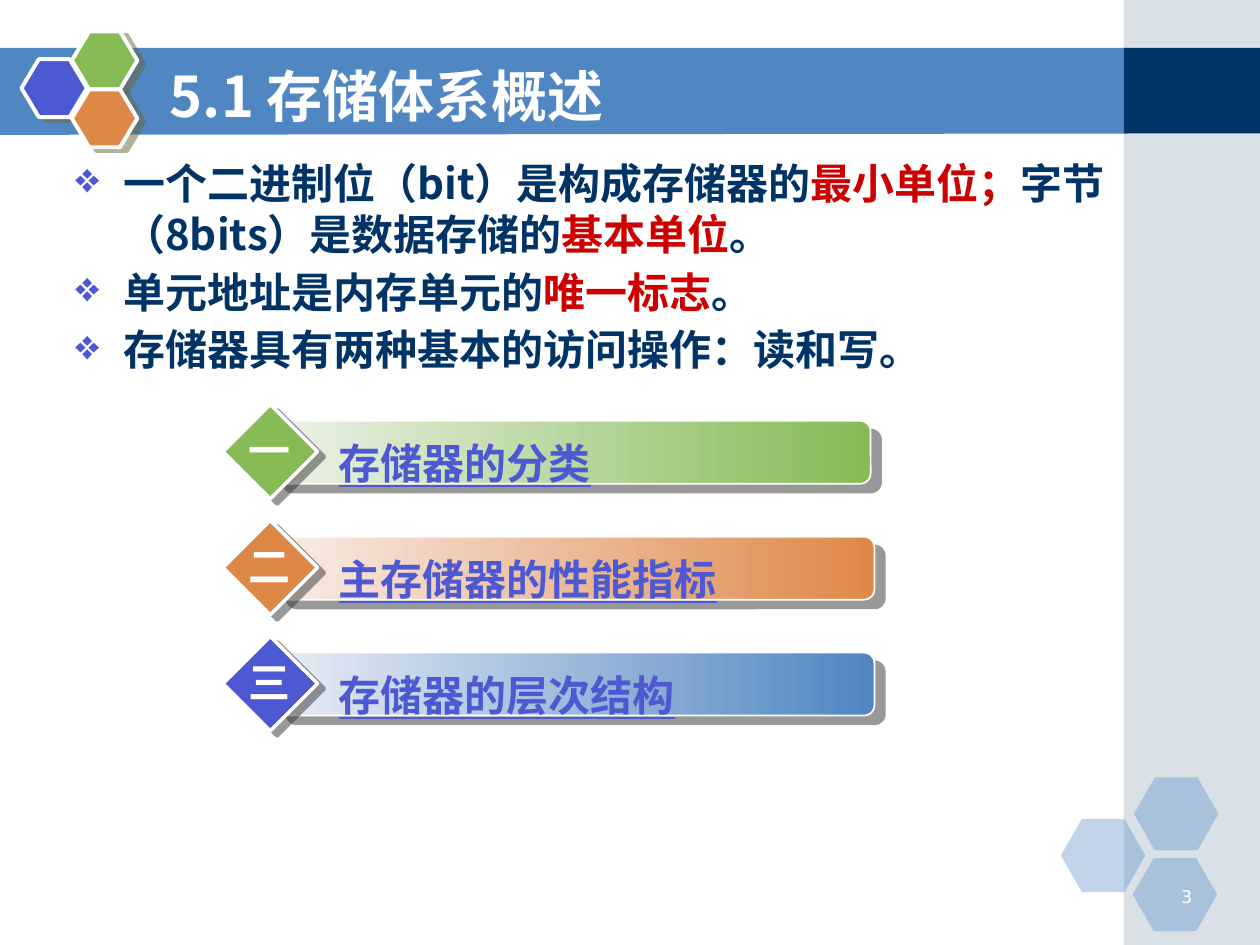
from lxml.etree import SubElement
from pptx import Presentation
from pptx.dml.color import RGBColor
from pptx.enum.shapes import MSO_SHAPE as Shape
from pptx.enum.text import MSO_ANCHOR as Anchor, PP_ALIGN as Align
from pptx.oxml.ns import qn
from pptx.util import Inches, Pt

NAVY = RGBColor(0x00, 0x33, 0x66)
BLUE = RGBColor(0x50, 0x86, 0xC2)
GREY = RGBColor(0xA0, 0xB5, 0xC4)
INDIGO = RGBColor(0x4C, 0x59, 0xD2)
GREEN = RGBColor(0x85, 0xBA, 0x54)
ORANGE = RGBColor(0xDE, 0x88, 0x48)
RED = RGBColor(0xCC, 0x00, 0x00)
WHITE = RGBColor(0xFF, 0xFF, 0xFF)
PALE_GREEN = RGBColor(0xEC, 0xF2, 0xE8)
PALE_ORANGE = RGBColor(0xF8, 0xEC, 0xE7)
PALE_BLUE = RGBColor(0xE8, 0xEC, 0xF4)
OLIVE = RGBColor(0x66, 0x66, 0x33)
CHARCOAL = RGBColor(0x33, 0x33, 0x33)

BULLETS = [
    [("一个二进制位（bit）是构成存储器的", NAVY), ("最小单位；", RED),
     ("字节（8bits）是数据存储的", NAVY), ("基本单位", RED), ("。", NAVY)],
    [("单元地址是内存单元的", NAVY), ("唯一标志", RED), ("。", NAVY)],
    [("存储器具有两种基本的访问操作：读和写。", NAVY)],
]
TOPICS = [
    ("一", "存储器的分类", 2.16, PALE_GREEN, GREEN, GREEN),
    ("二", "主存储器的性能指标", 2.19, PALE_ORANGE, ORANGE, ORANGE),
    ("三", "存储器的层次结构", 2.19, PALE_BLUE, BLUE, INDIGO),
]


class SlideBuilder:
    """Draws the elements of one slide in a shared style."""

    font = "Noto Sans CJK SC"

    def __init__(self, page):
        self.page = page

    def shape(self, kind, left, top, width, height, color, alpha=None, adjust=None, outline=None):
        shape = self.page.shapes.add_shape(
            kind, Inches(left), Inches(top), Inches(width), Inches(height))
        shape.shadow.inherit = False
        if adjust is not None:
            shape.adjustments[0] = adjust
        shape.fill.solid()
        shape.fill.fore_color.rgb = color
        if alpha is not None:
            tint = shape.fill._xPr.find(".//" + qn("a:srgbClr"))
            SubElement(tint, qn("a:alpha"), val=str(alpha * 1000))
        if outline is None:
            shape.line.fill.background()
        else:
            shape.line.color.rgb = WHITE
            shape.line.width = Pt(outline)
        return shape

    def gradient(self, shape, start, end):
        shape.fill.gradient()
        shape.fill.gradient_angle = 0
        for stop, color, position in zip(shape.fill.gradient_stops, (start, end), (0, 1)):
            stop.color.rgb = color
            stop.position = position

    def shadow(self, shape, color, distance, angle):
        effects = shape._element.spPr.find(qn("a:effectLst"))
        outer = SubElement(effects, qn("a:outerShdw"), blurRad="0", dist=str(Pt(distance)),
                           dir=str(angle * 60000), algn="ctr", rotWithShape="0")
        tint = SubElement(outer, qn("a:srgbClr"), val=str(color))
        SubElement(tint, qn("a:alpha"), val="50000")

    def banner(self, points, color):
        start, *others = [(Inches(x), Inches(y)) for x, y in points]
        builder = self.page.shapes.build_freeform(*start)
        builder.add_line_segments(others, close=True)
        shape = builder.convert_to_shape()
        shape.shadow.inherit = False
        shape.fill.solid()
        shape.fill.fore_color.rgb = color
        shape.line.fill.background()

    def text(self, left, top, width, height, paras, size=24, align=Align.LEFT,
             anchor=Anchor.TOP, font=font, bold=True, underline=False, wrap=True):
        box = self.page.shapes.add_textbox(
            Inches(left), Inches(top), Inches(width), Inches(height))
        frame = box.text_frame
        frame.word_wrap = wrap
        frame.vertical_anchor = anchor
        for index, spans in enumerate(paras):
            para = frame.add_paragraph() if index else frame.paragraphs[0]
            para.alignment = align
            para.line_spacing = Pt(round(size * 1.2))
            for words, color in spans:
                span = para.add_run()
                span.text = words
                span.font.size = Pt(size)
                span.font.bold = bold
                span.font.underline = underline
                span.font.name = font
                span.font.color.rgb = color
                SubElement(span.font._element, qn("a:ea"), typeface=font)
        return frame

    def bullets(self, frame, symbol, color):
        for index, para in enumerate(frame.paragraphs):
            para.space_before = Pt(4 if index else 0)
            props = para._p.get_or_add_pPr()
            props.set("marL", str(Inches(0.38)))
            props.set("indent", str(Inches(-0.38)))
            tint = SubElement(props, qn("a:buClr"))
            SubElement(tint, qn("a:srgbClr"), val=str(color))
            SubElement(props, qn("a:buChar"), char=symbol)


def main():
    deck = Presentation()
    deck.slide_width, deck.slide_height = Inches(10), Inches(7.5)
    draw = SlideBuilder(deck.slides.add_slide(deck.slide_layouts[6]))

    draw.banner([(-0.01, 0.38), (8.95, 0.38), (8.95, 1.06), (-0.01, 1.07)], BLUE)
    draw.shape(Shape.RECTANGLE, 8.92, 0, 1.08, 7.5, GREY, alpha=40)
    draw.shape(Shape.RECTANGLE, 8.92, 0.38, 1.08, 0.68, NAVY)
    for left, top in [(8.42, 6.5), (9, 6.17), (8.99, 6.81)]:
        draw.shape(Shape.HEXAGON, left, top, 0.67, 0.58, BLUE, alpha=35, adjust=0.286)
    for left, top, color in [(0.17, 0.47, INDIGO), (0.57, 0.25, GREEN), (0.57, 0.71, ORANGE)]:
        hexagon = draw.shape(Shape.HEXAGON, left, top, 0.52, 0.46, color, adjust=0.3, outline=2.25)
        draw.shadow(hexagon, OLIVE, 4.5, 27)

    draw.text(9.06, 6.98, 0.5, 0.25, [[("3", WHITE)]], size=10, align=Align.RIGHT,
              font="DejaVu Sans", bold=False)
    draw.text(1.25, 0.45, 7.33, 0.62, [[("5.1 存储体系概述", WHITE)]], size=32, anchor=Anchor.MIDDLE)
    body = draw.text(0.5, 1.2, 8.44, 5.74, BULLETS)
    draw.bullets(body, "❖", INDIGO)

    for row, (number, topic, left, pale, strong, badge) in enumerate(TOPICS):
        offset = row * 0.92
        bar = draw.shape(Shape.ROUNDED_RECTANGLE, left, 3.34 + offset, 4.75, 0.5, strong,
                         adjust=0.167, outline=1)
        draw.gradient(bar, pale, strong)
        draw.shadow(bar, CHARCOAL, 7.8, 40)
        label = draw.text(2.44, 3.42 + offset, 4.3, 0.5, [[(topic, INDIGO)]], underline=True)
        label.margin_left = Inches(0.25)
        diamond = draw.shape(Shape.DIAMOND, 1.77, 3.21 + offset, 0.75, 0.75, badge, outline=2)
        draw.shadow(diamond, CHARCOAL, 5, 37)
        draw.text(1.87, 3.32 + offset, 0.54, 0.5, [[(number, WHITE)]], align=Align.CENTER, wrap=False)

    deck.save("out.pptx")


if __name__ == "__main__":
    main()
